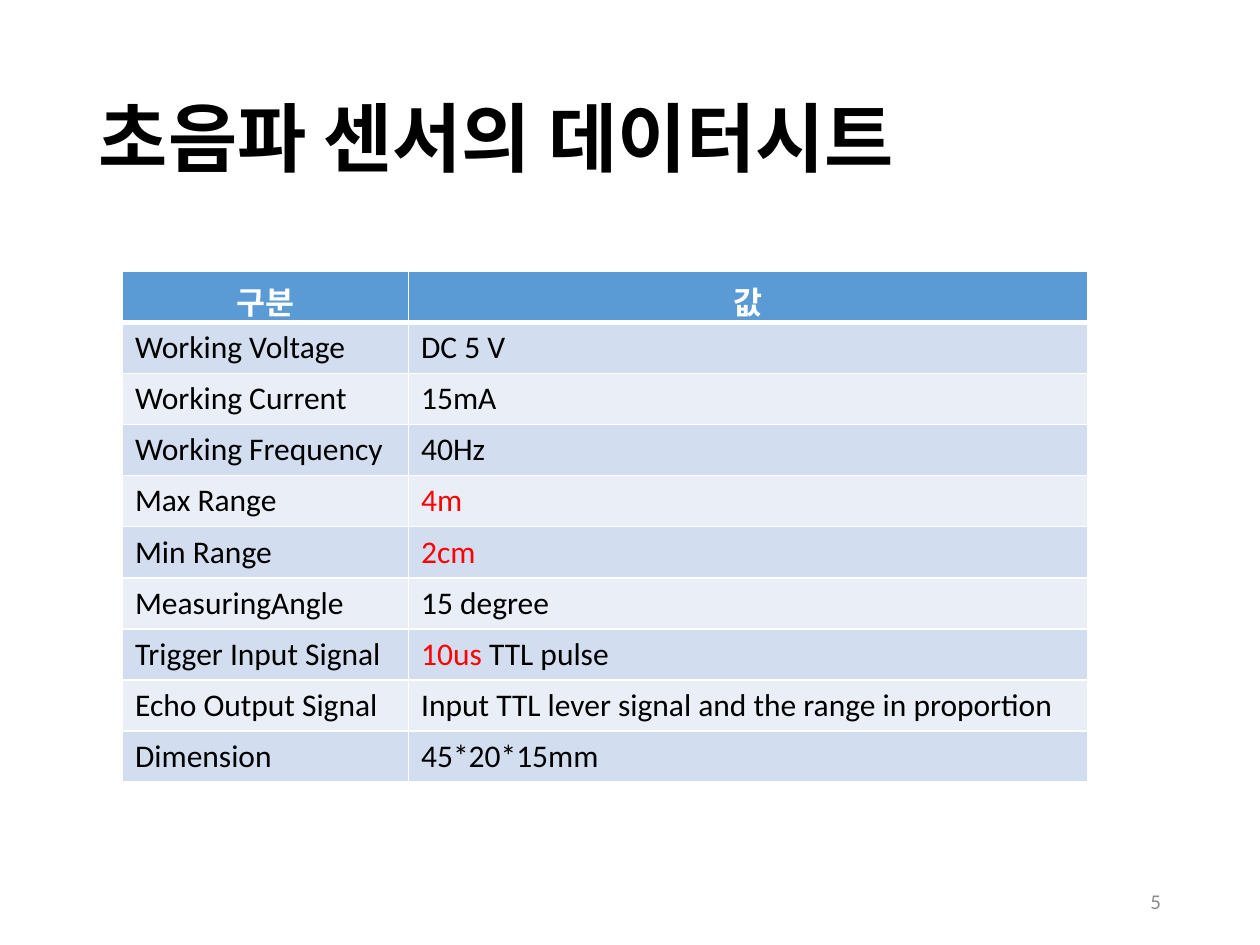
from lxml import etree
from pptx import Presentation
from pptx.dml.color import RGBColor
from pptx.enum import text
from pptx.oxml import ns
from pptx.util import Pt

BLACK = RGBColor(0x00, 0x00, 0x00)
WHITE = RGBColor(0xFF, 0xFF, 0xFF)
RED = RGBColor(0xFF, 0x00, 0x00)
GRAY = RGBColor(0x8C, 0x8C, 0x8C)
HEADER_BLUE = RGBColor(0x5B, 0x9B, 0xD5)
BANDS = (RGBColor(0xD2, 0xDE, 0xEF), RGBColor(0xEA, 0xEF, 0xF7))

HEADER = ("구분", "값")
# Each value is a highlighted part followed by a plain part.
RATINGS = [
    ("Working Voltage", "", "DC 5 V"),
    ("Working Current", "", "15mA"),
    ("Working Frequency", "", "40Hz"),
    ("Max Range", "4m", ""),
    ("Min Range", "2cm", ""),
    ("MeasuringAngle", "", "15 degree"),
    ("Trigger Input Signal", "10us", " TTL pulse"),
    ("Echo Output Signal", "", "Input TTL lever signal and the range in proportion"),
    ("Dimension", "", "45*20*15mm"),
]


def add_span(para, words, size=18, font="Calibri", color=BLACK, bold=False):
    span = para.add_run()
    span.text = words
    span.font.size = Pt(size)
    span.font.name = font
    span.font.bold = bold
    span.font.color.rgb = color


def add_line(page, area, words, align, spacing=1.0, **style):
    """Place one vertically centred line of text in the area."""
    box = page.shapes.add_textbox(*map(Pt, area))
    frame = box.text_frame
    frame.word_wrap = True
    frame.vertical_anchor = text.MSO_ANCHOR.MIDDLE
    para = frame.paragraphs[0]
    para.alignment = align
    para.line_spacing = spacing
    add_span(para, words, **style)


def format_cell(cell, fill, top=1, bottom=1):
    """Draw white borders of the given widths, then the fill."""
    props = cell._tc.get_or_add_tcPr()
    for side, width in (("L", 1), ("R", 1), ("T", top), ("B", bottom)):
        border = etree.SubElement(props, ns.qn(f"a:ln{side}"), w=str(Pt(width)))
        solid = etree.SubElement(border, ns.qn("a:solidFill"))
        etree.SubElement(solid, ns.qn("a:srgbClr"), val=str(WHITE))
    cell.fill.solid()
    cell.fill.fore_color.rgb = fill


def add_ratings_table(page, area, label_width):
    width, height = area[2:]
    row_count = len(RATINGS) + 1
    table = page.shapes.add_table(row_count, 2, *map(Pt, area)).table
    table.horz_banding = False
    table.columns[0].width = Pt(label_width)
    table.columns[1].width = Pt(width - label_width)
    for row in table.rows:
        row.height = Pt(height / row_count)

    for cell, words in zip(table.rows[0].cells, HEADER):
        format_cell(cell, HEADER_BLUE, bottom=3)
        para = cell.text_frame.paragraphs[0]
        para.alignment = text.PP_ALIGN.CENTER
        add_span(para, words, color=WHITE, bold=True)

    for index, (label, highlight, plain) in enumerate(RATINGS):
        label_cell, value_cell = table.rows[index + 1].cells
        for cell in (label_cell, value_cell):
            format_cell(cell, BANDS[index % 2], top=3 if index == 0 else 1)
        add_span(label_cell.text_frame.paragraphs[0], label)
        para = value_cell.text_frame.paragraphs[0]
        for words, color in ((highlight, RED), (plain, BLACK)):
            if words:
                add_span(para, words, color=color)


def main():
    deck = Presentation()
    deck.slide_width, deck.slide_height = Pt(720), Pt(540)
    page = deck.slides.add_slide(deck.slide_layouts[6])
    add_line(page, (49.5, 28.75, 621, 104.4), "초음파 센서의 데이터시트",
             text.PP_ALIGN.LEFT, spacing=0.9, size=43, font="Arial", bold=True)
    add_ratings_table(page, (70, 155, 551.5, 292), label_width=163.5)
    add_line(page, (508.5, 500.5, 162, 28.75), "5",
             text.PP_ALIGN.RIGHT, size=12, color=GRAY)
    deck.save("out.pptx")


if __name__ == "__main__":
    main()
